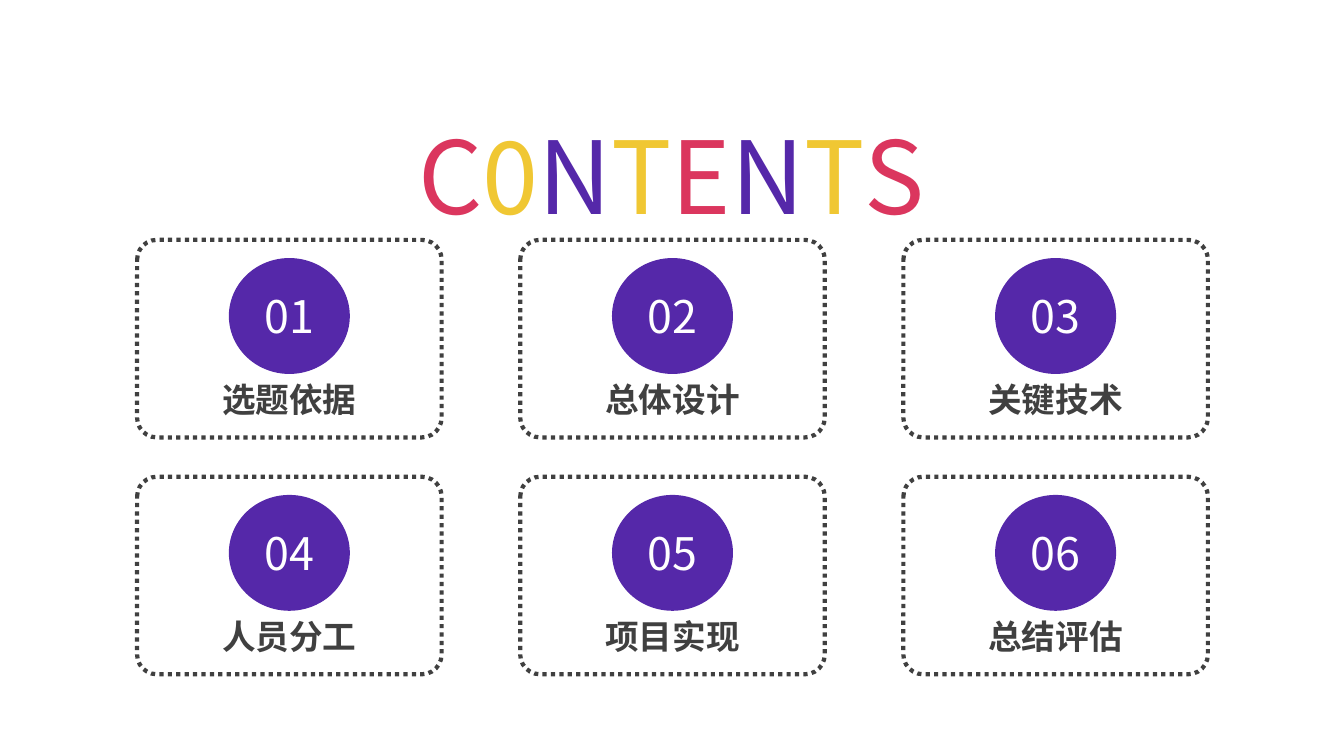
from pptx import Presentation
from pptx.dml.color import RGBColor
from pptx.enum.dml import MSO_LINE
from pptx.enum.shapes import MSO_SHAPE as Shape
from pptx.enum.text import MSO_ANCHOR as Anchor, MSO_AUTO_SIZE as AutoSize, PP_ALIGN as Align
from pptx.oxml.ns import qn
from pptx.util import Inches, Pt

WHITE = RGBColor(0xFF, 0xFF, 0xFF)
GREY = RGBColor(0x40, 0x40, 0x40)
PURPLE = RGBColor(0x55, 0x28, 0xA9)
RED = RGBColor(0xDB, 0x36, 0x5E)
YELLOW = RGBColor(0xF0, 0xC7, 0x33)

LATIN_FONT = "Noto Sans CJK JP"
CHINESE_FONT = "Noto Sans CJK SC"

TITLE = "C0NTENTS"
TITLE_COLORS = [RED, YELLOW, PURPLE, YELLOW, RED, PURPLE, YELLOW, RED]
TOPICS = ["选题依据", "总体设计", "关键技术", "人员分工", "项目实现", "总结评估"]

COLUMNS = 3
CARD_LEFT, CARD_TOP = 1.36, 2.38
COLUMN_STEP, ROW_STEP = 3.8, 2.35


def format_span(span, font_name, size, color, bold=False):
    span.font.name = font_name
    span.font.size = Pt(size)
    span.font.color.rgb = color
    span.font.bold = bold
    # East Asian characters take their font from a separate element
    east_asian = span.font._element.makeelement(qn("a:ea"), {"typeface": font_name})
    span.font._element.find(qn("a:latin")).addnext(east_asian)


def center_text(frame):
    frame.auto_size = AutoSize.NONE
    frame.word_wrap = True
    frame.vertical_anchor = Anchor.MIDDLE
    para = frame.paragraphs[0]
    para.alignment = Align.CENTER
    return para


def add_title(page):
    title = page.shapes.title
    title.left, title.top = Inches(2.57), Inches(1.08)
    title.width, title.height = Inches(8.18), Inches(1.29)
    para = center_text(title.text_frame)
    for letter, color in zip(TITLE, TITLE_COLORS):
        span = para.add_run()
        span.text = letter
        format_span(span, LATIN_FONT, 72, color)


def add_filled_shape(page, kind, left, top, width, height, color):
    shape = page.shapes.add_shape(
        kind, Inches(left), Inches(top), Inches(width), Inches(height))
    shape.shadow.inherit = False
    shape.fill.solid()
    shape.fill.fore_color.rgb = color
    shape.line.fill.background()
    return shape


def add_frame(page, left, top):
    frame = add_filled_shape(page, Shape.ROUNDED_RECTANGLE, left, top, 3.02, 1.96, WHITE)
    frame.adjustments[0] = 0.1
    frame.line.color.rgb = GREY
    frame.line.width = Pt(3)
    frame.line.dash_style = MSO_LINE.ROUND_DOT


def add_number(page, left, top, number):
    circle = add_filled_shape(page, Shape.OVAL, left, top, 1.2, 1.15, PURPLE)
    para = center_text(circle.text_frame)
    para.text = f"{number:02d}"
    format_span(para.runs[0], LATIN_FONT, 32, WHITE)


def add_label(page, left, top, topic):
    box = page.shapes.add_textbox(Inches(left), Inches(top), Inches(2.1), Inches(0.5))
    para = center_text(box.text_frame)
    para.text = topic
    format_span(para.runs[0], CHINESE_FONT, 24, GREY, bold=True)


def add_card(page, index, topic):
    row, column = divmod(index, COLUMNS)
    left = CARD_LEFT + column * COLUMN_STEP
    top = CARD_TOP + row * ROW_STEP
    add_frame(page, left, top)
    add_number(page, left + 0.91, top + 0.18, index + 1)
    add_label(page, left + 0.46, top + 1.33, topic)


def main():
    deck = Presentation()
    deck.slide_width, deck.slide_height = Inches(13.33), Inches(7.5)
    page = deck.slides.add_slide(deck.slide_layouts[5])

    # Heading with one colour per letter
    add_title(page)

    # Numbered topic cards in two rows
    for index, topic in enumerate(TOPICS):
        add_card(page, index, topic)

    deck.save("out.pptx")


if __name__ == "__main__":
    main()
